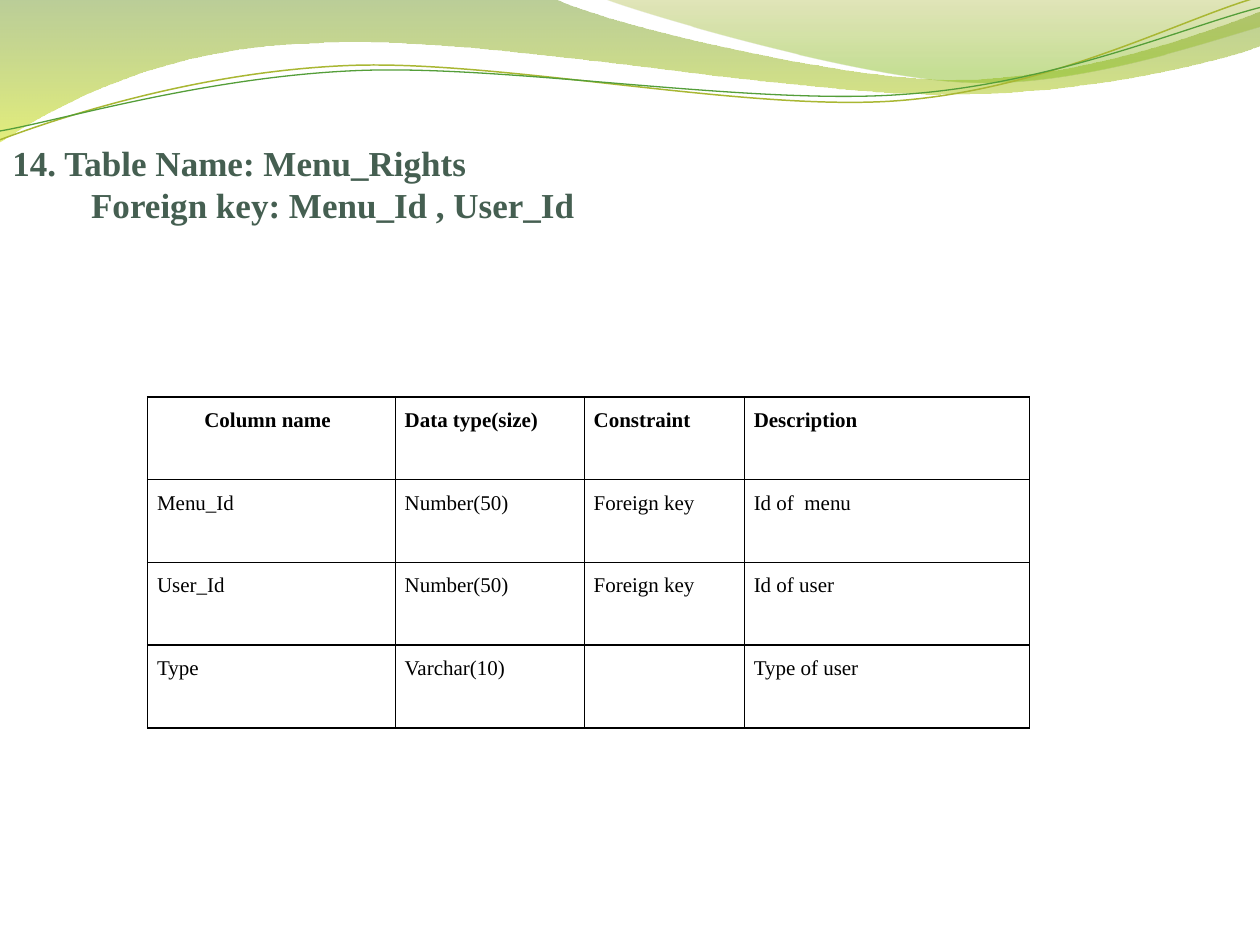
from lxml.etree import SubElement
from pptx import Presentation
from pptx.dml.color import RGBColor
from pptx.enum.text import MSO_ANCHOR, PP_ALIGN
from pptx.oxml.ns import qn
from pptx.util import Pt

FONT = "Times New Roman"
BLACK = RGBColor(0x00, 0x00, 0x00)
WHITE = RGBColor(0xFF, 0xFF, 0xFF)
SLATE = RGBColor(0x45, 0x5F, 0x51)
MOSS = RGBColor(0x69, 0x92, 0x1C)
LIME = RGBColor(0xCC, 0xE1, 0x0F)
OLIVE = RGBColor(0x9B, 0xAA, 0x1A)
LEAF = RGBColor(0x81, 0xBA, 0x16)
LIGHT_OLIVE = RGBColor(0xA9, 0xB7, 0x33)
GREEN = RGBColor(0x54, 0x9E, 0x39)


class SlideBuilder:
    def __init__(self, slide, font):
        self.slide = slide
        self.font = font

    def style(self, para, size, color, bold):
        for run in para.runs:
            run.font.name = self.font
            run.font.size = Pt(size)
            run.font.bold = bold
            run.font.color.rgb = color

    def outline(self, start, segments, closed):
        """Segments hold 2 numbers for a line, 6 for a cubic curve."""
        corners = [(Pt(segment[i]), Pt(segment[i + 1]))
                   for segment in segments for i in range(0, len(segment), 2)]
        builder = self.slide.shapes.build_freeform(Pt(start[0]), Pt(start[1]))
        builder.add_line_segments(corners, close=closed)
        shape = builder.convert_to_shape()
        shape.shadow.inherit = False
        # Merge each triple of line ends into one curve
        lines = iter(list(shape.element.iter(qn("a:lnTo"))))
        for segment in segments:
            first = next(lines)
            if len(segment) == 6:
                first.tag = qn("a:cubicBezTo")
                for line in (next(lines), next(lines)):
                    first.append(line[0])
                    line.getparent().remove(line)
        return shape

    def wave(self, start, segments, stops):
        """Draw a filled band; stops are (position, color, opacity in %)."""
        shape = self.outline(start, segments, True)
        shape.line.fill.background()
        shape.fill.gradient()
        shape.fill.gradient_angle = 270
        for stop, (position, color, _) in zip(shape.fill.gradient_stops, stops):
            stop.position = position
            stop.color.rgb = color
        colors = shape.element.spPr.iter(qn("a:srgbClr"))
        for color_node, (_, _, opacity) in zip(colors, stops):
            SubElement(color_node, qn("a:alpha"), val=str(opacity * 1000))

    def strand(self, start, segments, color, width):
        shape = self.outline(start, segments, False)
        shape.rotation = 357.3
        shape.fill.background()
        shape.line.color.rgb = color
        shape.line.width = Pt(width)

    def title(self, left, top, width, height, lines):
        """Lines are (text, indent)."""
        box = self.slide.shapes.add_textbox(Pt(left), Pt(top), Pt(width), Pt(height))
        frame = box.text_frame
        frame.word_wrap = True
        frame.vertical_anchor = MSO_ANCHOR.MIDDLE
        frame.text = "\n".join(text for text, _ in lines)
        for para, (_, indent) in zip(frame.paragraphs, lines):
            self.indent(para, indent)
            self.style(para, 20, SLATE, True)

    def indent(self, para, amount):
        if amount:
            para._p.get_or_add_pPr().set("marL", str(Pt(amount)))

    def border(self, cell):
        properties = cell._tc.get_or_add_tcPr()
        for side in ("lnL", "lnR", "lnT", "lnB"):
            line = SubElement(properties, qn(f"a:{side}"), w=str(Pt(1)))
            fill = SubElement(line, qn("a:solidFill"))
            SubElement(fill, qn("a:srgbClr"), val=str(BLACK))

    def table(self, left, top, widths, row_height, rows):
        frame = self.slide.shapes.add_table(
            len(rows), len(widths), Pt(left), Pt(top),
            Pt(sum(widths)), Pt(row_height * len(rows)))
        table = frame.table
        for column, width in zip(table.columns, widths):
            column.width = Pt(width)
        for row_index, texts in enumerate(rows):
            table.rows[row_index].height = Pt(row_height)
            for column_index, text in enumerate(texts):
                cell = table.cell(row_index, column_index)
                self.border(cell)
                cell.fill.solid()
                cell.fill.fore_color.rgb = WHITE
                cell.margin_left = cell.margin_right = Pt(5.4)
                cell.margin_top = cell.margin_bottom = Pt(0)
                if not text:
                    continue
                para = cell.text_frame.paragraphs[0]
                para.text = text
                para.alignment = PP_ALIGN.JUSTIFY
                para.line_spacing = 1.5
                para.space_after = Pt(10)
                self.style(para, 12, BLACK, row_index == 0)
        self.indent(table.cell(0, 0).text_frame.paragraphs[0], 27)


def main():
    deck = Presentation()
    deck.slide_width, deck.slide_height = Pt(720), Pt(540)
    page = SlideBuilder(deck.slides.add_slide(deck.slide_layouts[6]), FONT)

    # Waves along the top edge
    page.wave(
        (0, 0),
        [(316.8, -0.7), (342, 12.2, 477.4, 45.4, 545.8, 45.4),
         (614.2, 45.4, 689.8, 18.7, 720, 6.5), (720.7, 25.9),
         (707.8, 31.7, 625.7, 54.7, 537.1, 54), (447.8, 54, 274.3, 20.2, 185, 24.5),
         (92.9, 25.9, 33.1, 59.8, -0.7, 81.4)],
        [(0, MOSS, 45), (1, LIME, 55)])
    page.wave(
        (344.9, -0.7),
        [(366.5, 7.9, 491, 44.6, 553, 46.8), (615.6, 49.7, 691.9, 23, 720, 15.1), (720, 0)],
        [(0, OLIVE, 30), (0.8, LEAF, 45)])

    # Thin strands below the waves
    page.strand(
        (-1.4, 62.9),
        [(33.7, 51.6, 113.3, 29.4, 199.1, 29.9), (284.8, 30.3, 425.1, 67.2, 511.7, 64.8),
         (599, 62.4, 676.4, 25.7, 720, 15.5)],
        LIGHT_OLIVE, 0.85)
    page.strand(
        (-1.2, 57.9),
        [(33, 53.7, 117.6, 32.5, 204, 33), (289.8, 33.4, 428.9, 63.8, 515.5, 61.3),
         (601.3, 59.6, 678.5, 30.1, 721.4, 21.3)],
        GREEN, 0.75)

    # Column definitions
    page.table(84.4, 226.8, (141.5, 108, 91.5, 163), 47.3, [
        ("Column name", "Data type(size)", "Constraint", "Description"),
        ("Menu_Id", "Number(50)", "Foreign key", "Id of  menu"),
        ("User_Id", "Number(50)", "Foreign key", "Id of user"),
        ("Type", "Varchar(10)", "", "Type of user"),
    ])

    # Heading
    page.title(0, 76.7, 338.4, 55.7, [
        ("14. Table Name: Menu_Rights", 0),
        ("Foreign key: Menu_Id , User_Id", 45),
    ])

    deck.save("out.pptx")


if __name__ == "__main__":
    main()
